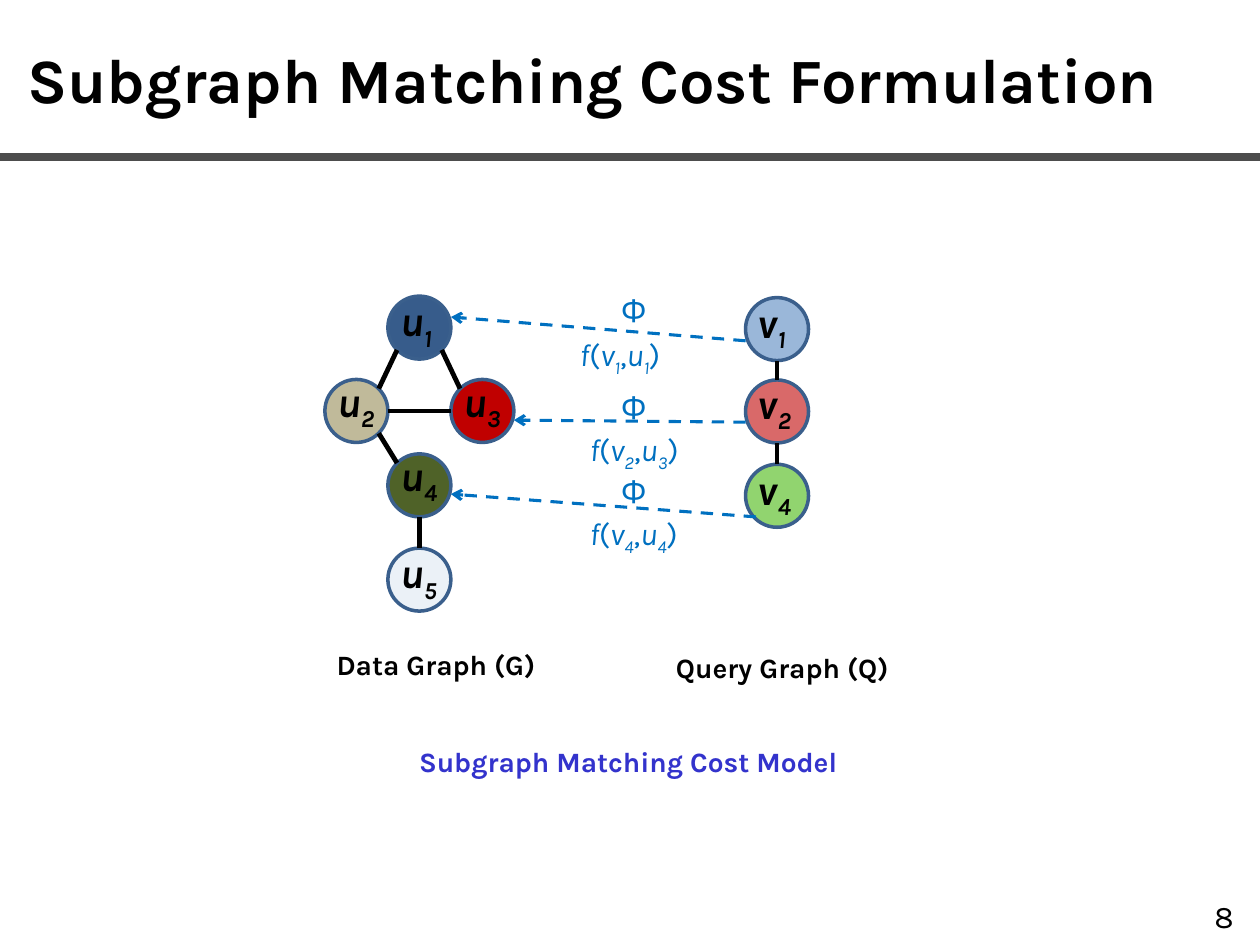
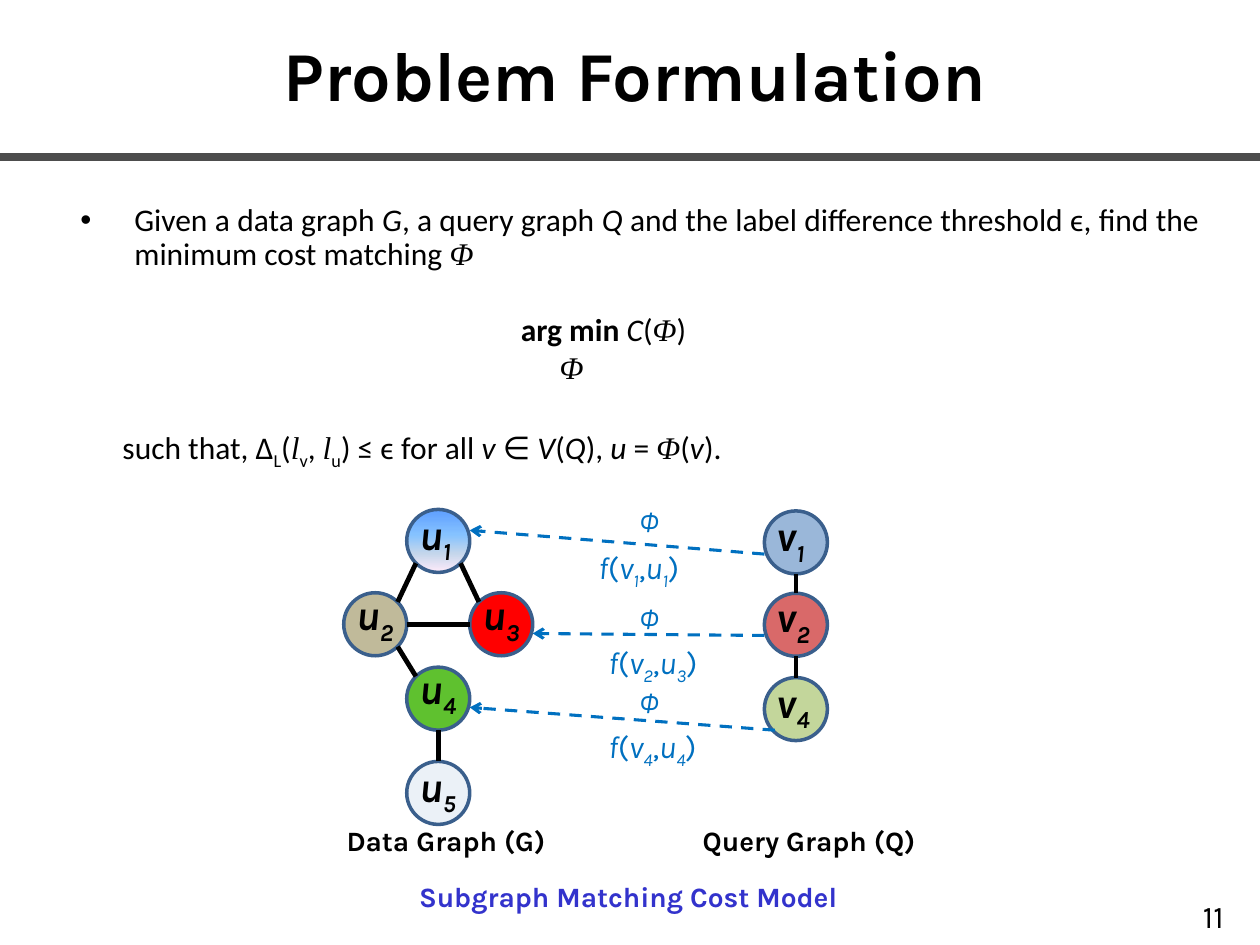
from pptx import Presentation
from pptx.dml.color import RGBColor
from pptx.enum.dml import MSO_LINE_DASH_STYLE as Dash
from pptx.enum.shapes import MSO_CONNECTOR as Connector, MSO_SHAPE as Shape
from pptx.enum.text import MSO_ANCHOR as Anchor, PP_ALIGN as Align
from pptx.oxml.ns import qn
from pptx.util import Cm, Pt
from lxml.etree import SubElement

COLORS = {
    "ink": "000000", "rule": "4D4D4D", "outline": "3A5F8C",
    "mapping": "0070C0", "model": "3333CC", "navy": "1F497D",
    "tan": "948A54", "crimson": "C00000", "red": "FF0000",
    "olive": "4F6228", "blue": "4F81BD", "green": "44B70B", "lime": "C3D69B",
}
SKY = [(0, "5E9EFF"), (40, "85C2FF"), (70, "C4D6EB"), (100, "FFEBFA")]
FONT, BODY_FONT, MATH_FONT = "Karla", "Calibri", "Times New Roman"

DIAMETER = 1.27
NODES = {
    "u1": (1.27, 0, 0.15), "u2": (0, 1.68, 0.21), "u3": (2.54, 1.68, 0.21),
    "u4": (1.27, 3.18, 0.22), "u5": (1.27, 5.08, 0.15),
    "v1": (8.48, 0.03, 0.15), "v2": (8.48, 1.69, 0.18), "v4": (8.48, 3.39, 0.15),
}
DIAGONAL = 0.71
SITES = {
    "N": (0, -1), "S": (0, 1), "E": (1, 0), "W": (-1, 0),
    "NW": (-DIAGONAL, -DIAGONAL), "NE": (DIAGONAL, -DIAGONAL),
    "SW": (-DIAGONAL, DIAGONAL), "SE": (DIAGONAL, DIAGONAL),
}
EDGES = [
    ("u1", "SW", "u2", "NE"), ("u1", "SE", "u3", "NW"), ("u2", "E", "u3", "W"),
    ("u2", "SE", "u4", "NW"), ("u4", "S", "u5", "N"),
    ("v2", "N", "v1", "S"), ("v4", "N", "v2", "S"),
]
MAPPINGS = [
    ("1", "1", (8.48, 0.9), (2.54, 0.42), -0.22, (4.88, 0.66)),
    ("2", "3", (8.48, 2.54), (3.81, 2.5), 1.73, (5.08, 2.57)),
    ("4", "4", (8.69, 4.45), (2.54, 3.99), 3.42, (5.08, 4.27)),
]


def rgb(name):
    return RGBColor.from_string(COLORS[name])


def add_runs(paragraph, pieces, size, color="ink", font=FONT):
    for text, style in pieces:
        run = paragraph.add_run()
        run.text = text
        run.font.name = MATH_FONT if "t" in style else font
        run.font.size = Pt(size)
        run.font.bold = "b" in style
        run.font.italic = "i" in style
        run.font.color.rgb = rgb(color)
        if "_" in style:
            run._r.get_or_add_rPr().set("baseline", "-25000")


def add_text(slide, box, pieces, size, color="ink", font=FONT,
             align=Align.LEFT, anchor=Anchor.TOP, wrap=True):
    frame = slide.shapes.add_textbox(*map(Cm, box)).text_frame
    frame.word_wrap = wrap
    frame.vertical_anchor = anchor
    frame.paragraphs[0].alignment = align
    add_runs(frame.paragraphs[0], pieces, size, color, font)
    return frame


def add_line(slide, start, end, color, width, arrow=False):
    line = slide.shapes.add_connector(Connector.STRAIGHT, *map(Cm, (*start, *end)))
    line.line.color.rgb = rgb(color)
    line.line.width = Pt(width)
    if arrow:
        line.line.dash_style = Dash.DASH
        SubElement(line.line._get_or_add_ln(), qn("a:tailEnd"), type="arrow")
    SubElement(line._element.spPr, qn("a:effectLst"))


def add_gradient(node, stops):
    node.fill.gradient()
    node.fill.gradient_angle = 270
    stop_list = node._element.spPr.find(".//" + qn("a:gsLst"))
    for stop in list(stop_list):
        stop_list.remove(stop)
    for position, value in stops:
        stop = SubElement(stop_list, qn("a:gs"), pos=str(position * 1000))
        SubElement(stop, qn("a:srgbClr"), val=value)


def add_node(slide, left, top, fill, opacity):
    node = slide.shapes.add_shape(Shape.OVAL, *map(Cm, (left, top, DIAMETER, DIAMETER)))
    node.shadow.inherit = False
    node.line.color.rgb = rgb("outline")
    node.line.width = Pt(2)
    if fill == "sky":
        add_gradient(node, SKY)
        return
    node.fill.solid()
    node.fill.fore_color.rgb = rgb(fill)
    if opacity < 100:
        color = node._element.spPr.find(qn("a:solidFill"))[0]
        SubElement(color, qn("a:alpha"), val=str(opacity * 1000))


def add_matching(slide, origin, fills, phi_style):
    def place(x, y):
        return origin[0] + x, origin[1] + y

    def site(name, side):
        left, top, _ = NODES[name]
        dx, dy = SITES[side]
        radius = DIAMETER / 2
        return place(left + radius * (1 + dx), top + radius * (1 + dy))

    for name, (left, top, lift) in NODES.items():
        add_node(slide, *place(left, top), *fills[name])
        letter, index = name
        width = 1.42 if letter == "u" else 1.32
        add_text(slide, (*place(left, top - lift), width, 2.06),
                 [(letter, "bi"), (index, "bi_")], 24, wrap=False)
    for first, first_side, second, second_side in EDGES:
        add_line(slide, site(first, first_side), site(second, second_side), "ink", 2.75)
    size, font, style, phi_width = phi_style
    for v, u, start, end, phi_top, cost_at in MAPPINGS:
        add_line(slide, place(*start), place(*end), "mapping", 1.75, arrow=True)
        add_text(slide, (*place(5.72, phi_top), phi_width, 1.02), [("Φ", style)],
                 size, "mapping", font, wrap=False)
        cost = [("f", "i"), ("(", ""), ("v", "i"), (v, "i_"), (",", ""),
                ("u", "i"), (u, "i_"), (")", "")]
        add_text(slide, (*place(*cost_at), 2.54, 1.02), cost, 18, "mapping", wrap=False)


def add_captions(slide, data_at, query_at, model_at):
    for text, at, width, color in (
            ("Data Graph (G)", data_at, 7.82, "ink"),
            ("Query Graph (Q)", query_at, 7.82, "ink"),
            ("Subgraph Matching Cost Model", model_at, 10.69, "model")):
        add_text(slide, (*at, width, 1.45), [(text, "b")], 16, color,
                 align=Align.CENTER, anchor=Anchor.MIDDLE)


def add_problem(slide):
    statement = [
        ("Given a data graph ", ""), ("G", "i"), (", a query graph ", ""), ("Q", "i"),
        (" and the label difference threshold ϵ, find the minimum cost matching ", ""),
        ("Φ", "ti")]
    objective = [("arg min ", "b"), ("C", "i"), ("(", ""), ("Φ", "ti"), (")", "")]
    constraint = [
        ("such that, Δ", ""), ("L", "_"), ("(", ""), ("l", "ti"), ("v", "_"),
        (", ", ""), ("l", "ti"), ("u", "_"), (") ≤ ϵ for all ", ""), ("v", "i"),
        (" ∈ ", ""), ("V", "i"), ("(", ""), ("Q", "i"), ("), ", ""), ("u", "i"),
        (" = ", ""), ("Φ", "ti"), ("(", ""), ("v", "i"), (").", "")]
    frame = add_text(slide, (1.37, 3.99, 23.06, 8.2), statement, 18, font=BODY_FONT,
                     align=Align.JUSTIFY)
    bulleted = frame.paragraphs[0]
    bulleted.line_spacing = 0.9
    properties = bulleted._p.get_or_add_pPr()
    properties.set("marL", str(Cm(1.09)))
    properties.set("indent", str(-Cm(1.09)))
    SubElement(properties, qn("a:buFont"), typeface="Arial")
    SubElement(properties, qn("a:buChar"), char="•")
    for pieces, indent, gap in ((objective, 8.88, 24), ([("Φ", "ti")], 9.66, 2.2),
                                (constraint, 0.85, 24.4)):
        paragraph = frame.add_paragraph()
        paragraph.line_spacing = 0.9
        paragraph.space_before = Pt(gap)
        paragraph._p.get_or_add_pPr().set("marL", str(Cm(indent)))
        add_runs(paragraph, pieces, 18, font=BODY_FONT)


def add_slide(deck, title, title_box, title_size, align, number, number_left):
    slide = deck.slides.add_slide(deck.slide_layouts[6])
    add_line(slide, (0, 3.17), (25.4, 3.17), "rule", 4.5)
    add_text(slide, title_box, [(title, "b")], title_size, align=align,
             anchor=Anchor.MIDDLE)
    add_text(slide, (number_left, 17.96, 1.4, 1.02), [(number, "")], 18)
    return slide


def main():
    deck = Presentation()
    deck.slide_width, deck.slide_height = Cm(25.4), Cm(19.05)
    fills = {
        "u1": ("navy", 89), "u2": ("tan", 59), "u3": ("crimson", 100),
        "u4": ("olive", 100), "u5": ("blue", 11), "v1": ("blue", 57),
        "v2": ("crimson", 59), "v4": ("green", 59),
    }

    cost = add_slide(deck, "Subgraph Matching Cost Formulation", (0.3, 0.1, 24.24, 2.97),
                     36, Align.LEFT, "8", 24.23)
    add_matching(cost, (6.55, 5.97), fills, (18, FONT, "", 1.07))
    add_captions(cost, (4.88, 12.67), (11.86, 12.73), (7.32, 14.63))

    problem = add_slide(deck, "Problem Formulation", (1.47, 0, 22.66, 2.97),
                        40, Align.CENTER, "11", 24)
    add_problem(problem)
    problem_fills = fills | {"u1": ("sky", 100), "u3": ("red", 100),
                             "u4": ("green", 85), "v4": ("lime", 100)}
    add_matching(problem, (6.93, 10.27), problem_fills, (16, "Arial Narrow", "i", 0.97))
    add_captions(problem, (5.08, 16.21), (12.4, 16.21), (7.32, 17.35))

    deck.save("out.pptx")


if __name__ == "__main__":
    main()
